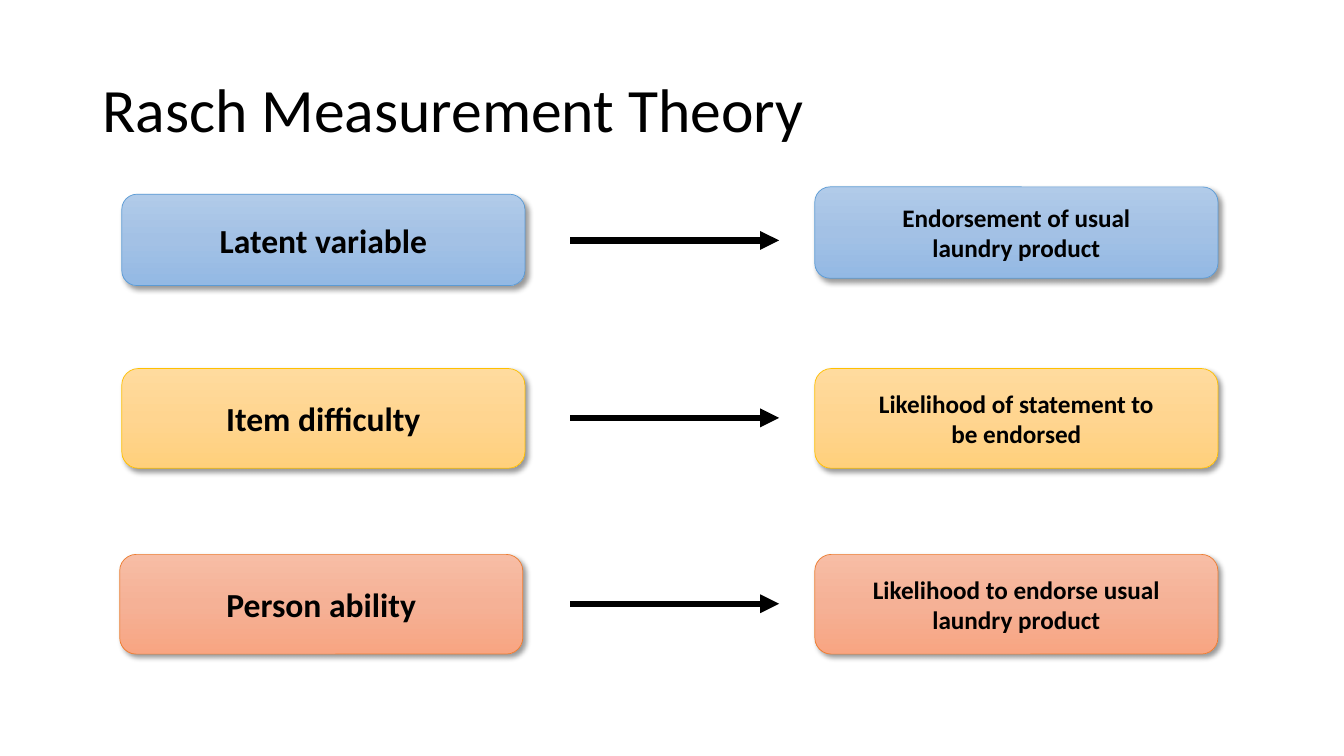
from copy import deepcopy

from lxml.etree import SubElement
from pptx import Presentation
from pptx.dml.color import RGBColor
from pptx.enum.shapes import MSO_CONNECTOR as LINE, MSO_SHAPE as SHAPE
from pptx.enum.text import MSO_ANCHOR as ANCHOR, PP_ALIGN as ALIGN
from pptx.oxml.ns import qn
from pptx.util import Pt

BLACK = RGBColor(0x00, 0x00, 0x00)
# Each theme: edge colour, then the fade from top to bottom
BLUE = (RGBColor(0x5B, 0x9B, 0xD5), RGBColor(0xB1, 0xCB, 0xE9),
        RGBColor(0xA3, 0xC1, 0xE5), RGBColor(0x93, 0xB9, 0xE4))
GOLD = (RGBColor(0xFF, 0xC0, 0x00), RGBColor(0xFF, 0xDB, 0x9E),
        RGBColor(0xFF, 0xD5, 0x90), RGBColor(0xFF, 0xD0, 0x7C))
CORAL = (RGBColor(0xED, 0x7D, 0x31), RGBColor(0xF7, 0xBD, 0xA5),
         RGBColor(0xF5, 0xB1, 0x96), RGBColor(0xF8, 0xA5, 0x82))

BOX_W = 384
PAD = 42
RIGHT = 776
ARROW = (543, 742)

# Term, meaning, theme, place of the term box, top of the meaning box,
# height of both boxes, height of the arrow's line on the slide
ROWS = [
    ("Latent variable", "Endorsement of usual laundry product",
     BLUE, (116, 185), 178, 87, 229),
    ("Item difficulty", "Likelihood of statement to be endorsed",
     GOLD, (116, 351), 351, 95, 398),
    ("Person ability", "Likelihood to endorse usual laundry product",
     CORAL, (114, 528), 528, 95, 575),
]


def px(n):
    return n * 9525


def write(shape, text, size, bold=False, align=ALIGN.CENTER, space=None):
    frame = shape.text_frame
    frame.word_wrap = True
    frame.vertical_anchor = ANCHOR.MIDDLE
    para = frame.paragraphs[0]
    para.alignment = align
    para.line_spacing = space
    run = para.add_run()
    run.text = text
    font = run.font
    font.name = "Calibri"
    font.size = Pt(size)
    font.bold = bold
    font.color.rgb = BLACK


def fade(shape, colors):
    """Fill with three evenly spaced colours from top to bottom."""
    fill = shape.fill
    fill.gradient()
    fill.gradient_angle = 270
    stops = shape._element.spPr.find(".//" + qn("a:gsLst"))
    stops.insert(1, deepcopy(stops[0]))
    for i, (stop, color) in enumerate(zip(fill.gradient_stops, colors)):
        stop.position = i / 2
        stop.color.rgb = color


def shade(shape):
    """Cast a soft shadow to the lower right."""
    shape.shadow.inherit = False
    effects = shape._element.spPr.find(qn("a:effectLst"))
    outer = SubElement(effects, qn("a:outerShdw"), blurRad=str(Pt(4)),
                       dist=str(Pt(3)), dir="2700000", algn="tl", rotWithShape="0")
    color = SubElement(outer, qn("a:srgbClr"), val=str(BLACK))
    SubElement(color, qn("a:alpha"), val="40000")


def add_box(slide, text, left, top, height, theme, size):
    box = slide.shapes.add_shape(SHAPE.ROUNDED_RECTANGLE, px(left), px(top),
                                 px(BOX_W), px(height))
    edge, *colors = theme
    fade(box, colors)
    box.line.color.rgb = edge
    box.line.width = Pt(0.5)
    shade(box)
    frame = box.text_frame
    frame.margin_left = frame.margin_right = px(PAD)
    write(box, text, size, bold=True)


def add_arrow(slide, y):
    start, end = ARROW
    arrow = slide.shapes.add_connector(LINE.STRAIGHT, px(start), px(y), px(end), px(y))
    arrow.line.color.rgb = BLACK
    arrow.line.width = Pt(4.5)
    SubElement(arrow.line._get_or_add_ln(), qn("a:tailEnd"), type="triangle")
    SubElement(arrow._element.spPr, qn("a:effectLst"))


def add_title(slide, text):
    title = slide.shapes.title
    title.left, title.top = px(88), px(38)
    title.width, title.height = px(1104), px(139)
    write(title, text, 44, align=ALIGN.LEFT, space=0.9)


def main():
    deck = Presentation()
    deck.slide_width, deck.slide_height = px(1280), px(720)
    slide = deck.slides.add_slide(deck.slide_layouts[5])
    add_title(slide, "Rasch Measurement Theory")
    for term, meaning, theme, (left, top), right_top, height, y in ROWS:
        add_box(slide, term, left, top, height, theme, 24)
        add_box(slide, meaning, RIGHT, right_top, height, theme, 18)
        add_arrow(slide, y)
    deck.save("out.pptx")


if __name__ == "__main__":
    main()
